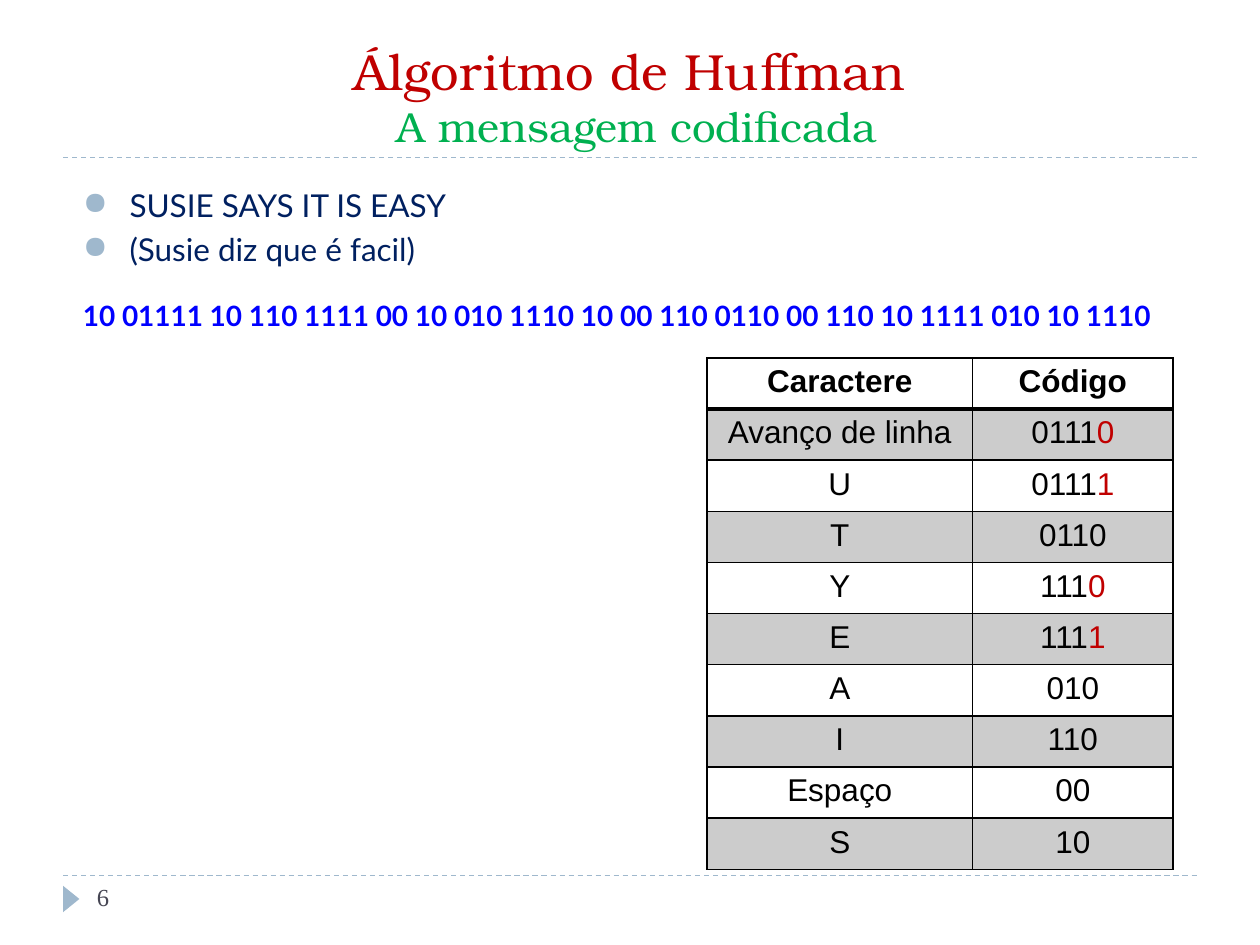
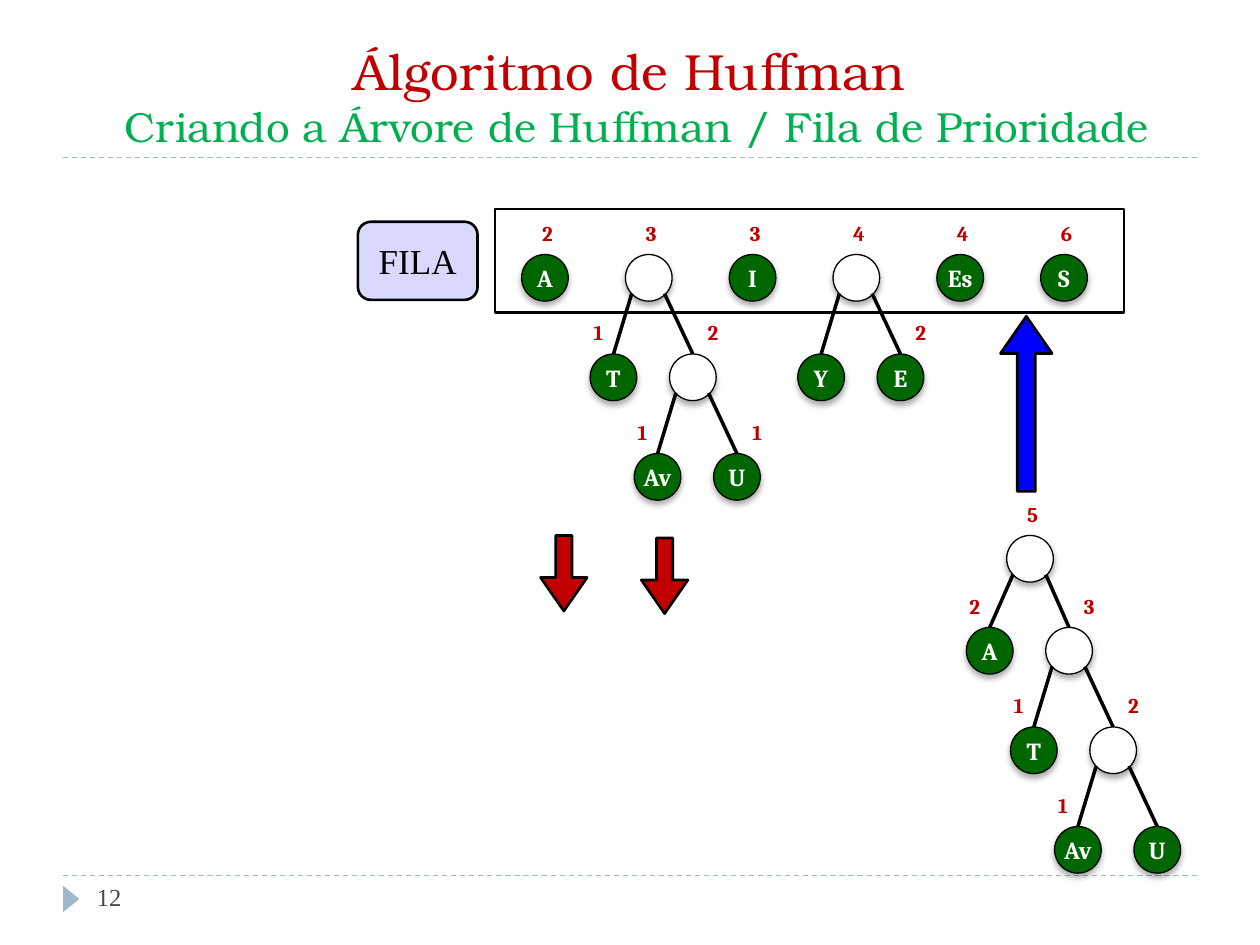
from dataclasses import dataclass
from typing import Optional

import pptx
import pptx.dml.color
import pptx.enum.dml
import pptx.enum.shapes
import pptx.enum.text
import pptx.oxml
import pptx.oxml.ns
import pptx.util
from lxml import etree

Inches = pptx.util.Inches
Pt = pptx.util.Pt
qn = pptx.oxml.ns.qn
SHAPE = pptx.enum.shapes.MSO_SHAPE
ALIGN = pptx.enum.text.PP_ALIGN
ANCHOR = pptx.enum.text.MSO_ANCHOR


@dataclass(frozen=True)
class Theme:
    black: str = "000000"
    white: str = "FFFFFF"
    red: str = "C00000"
    green: str = "00B050"
    leaf: str = "006600"
    blue: str = "0000FF"
    navy: str = "002060"
    accent: str = "9FB8CD"
    number: str = "464653"
    title_font: str = "TeX Gyre Bonum"
    body_font: str = "Lato"
    table_font: str = "Arial"
    tree_font: str = "Cambria"
    serif_font: str = "Times New Roman"
    title_pt: int = 29
    subtitle_pt: int = 24
    queue_pt: int = 20
    body_pt: int = 18
    bits_pt: int = 16
    small_pt: int = 14
    weight_pt: int = 12


T = Theme()


@dataclass(frozen=True)
class Spread:
    """Offsets of the left and right child from their parent, in inches."""
    left: float = -0.28
    right: float = 0.35
    down: float = 0.79


@dataclass(frozen=True)
class Node:
    weight: str = ""
    label: str = ""
    left: Optional["Node"] = None
    right: Optional["Node"] = None
    spread: Spread = Spread()


# ---- Helpers ----

def rgb(color: str):
    return pptx.dml.color.RGBColor.from_string(color)


def sub(parent, tag: str, **attrs):
    return etree.SubElement(parent, qn(tag), attrs)


def add_text(p, text: str, *, size: float, color: str, font: str, bold: bool = False):
    r = p.add_run()
    r.text = text
    r.font.size, r.font.name, r.font.bold = Pt(size), font, bold
    r.font.color.rgb = rgb(color)
    return r


def frame(sp, anchor=ANCHOR.TOP, align=ALIGN.LEFT, inset: bool = True):
    tf = sp.text_frame
    tf.word_wrap = True
    tf.vertical_anchor = anchor
    tf.margin_left = tf.margin_right = Inches(0.1 if inset else 0)
    tf.margin_top = tf.margin_bottom = Inches(0.05 if inset else 0)
    tf.paragraphs[0].alignment = align
    return tf


def add_box(s, x: float, y: float, w: float, h: float, **layout):
    return frame(s.shapes.add_textbox(Inches(x), Inches(y), Inches(w), Inches(h)), **layout)


def set_fill(fill, color: Optional[str], alpha: int = 100) -> None:
    if color is None:
        fill.background()
        return
    fill.solid()
    fill.fore_color.rgb = rgb(color)
    if alpha < 100:
        clr = fill._xPr.find(qn("a:solidFill"))[0]
        sub(clr, "a:alpha", val=str(alpha * 1000))


def add_shape(s, kind, x: float, y: float, w: float, h: float, *, fill: Optional[str],
              alpha: int = 100, line: float = 0):
    sp = s.shapes.add_shape(kind, Inches(x), Inches(y), Inches(w), Inches(h))
    sp.shadow.inherit = False
    set_fill(sp.fill, fill, alpha)
    if line:
        sp.line.color.rgb = rgb(T.black)
        sp.line.width = Pt(line)
    else:
        sp.line.fill.background()
    return sp


def add_line(s, x1: float, y1: float, x2: float, y2: float, *, color: str, width: float,
             dashed: bool = False) -> None:
    c = s.shapes.add_connector(pptx.enum.shapes.MSO_CONNECTOR.STRAIGHT,
                               Inches(x1), Inches(y1), Inches(x2), Inches(y2))
    c.line.color.rgb = rgb(color)
    c.line.width = Pt(width)
    if dashed:
        c.line.dash_style = pptx.enum.dml.MSO_LINE.DASH
    sub(c._element.spPr, "a:effectLst")


def add_shadow(effects, blur: float, dist: float, angle: int, alpha: int) -> None:
    shadow = sub(effects, "a:outerShdw", blurRad=str(Pt(blur)), dist=str(Pt(dist)),
                 dir=str(angle * 60000), algn="ctr", rotWithShape="0")
    sub(sub(shadow, "a:srgbClr", val=T.black), "a:alpha", val=str(alpha * 1000))


# ---- Shared slide frame ----

def new_slide(prs, subtitle: str, number: str):
    s = prs.slides.add_slide(prs.slide_layouts[6])
    for y in (6.95, 1.25):
        add_line(s, 0.5, y, 9.5, y, color=T.accent, width=0.75, dashed=True)
    add_shape(s, SHAPE.ISOSCELES_TRIANGLE, 0.46, 7.07, 0.21, 0.13, fill=T.accent).rotation = 90
    p = add_box(s, 0.5, 0.25, 9, 1, anchor=ANCHOR.BOTTOM, align=ALIGN.CENTER).paragraphs[0]
    add_text(p, "Álgoritmo de Huffman", size=T.title_pt, color=T.red, font=T.title_font)
    p.add_line_break()
    add_text(p, " " + subtitle, size=T.subtitle_pt, color=T.green, font=T.title_font)
    tf = add_box(s, 0.67, 6.95, 2.17, 0.4)
    add_text(tf.paragraphs[0], number, size=T.small_pt, color=T.number, font=T.serif_font)
    return s


# ---- Code table ----

def set_borders(cell, top: float, bottom: float) -> None:
    tcPr = cell._tc.get_or_add_tcPr()
    for i, (side, width) in enumerate(zip("LRTB", (1, 1, top, bottom))):
        ln = etree.Element(qn(f"a:ln{side}"), w=str(Pt(width)))
        sub(sub(ln, "a:solidFill"), "a:srgbClr", val=T.black)
        tcPr.insert(i, ln)


def add_code_table(s, rows) -> None:
    table = s.shapes.add_table(len(rows), 2, Inches(5.61), Inches(2.84),
                               Inches(3.7), Inches(4.06)).table
    table.first_row = table.horz_banding = False
    for col, width in zip(table.columns, (2.11, 1.59)):
        col.width = Inches(width)
    for i, row in enumerate(rows):
        for j, text in enumerate(row):
            cell = table.cell(i, j)
            set_fill(cell.fill, T.black if i % 2 else None, alpha=20)
            set_borders(cell, top=2 if i == 1 else 1, bottom=2 if i == 0 else 1)
            p = cell.text_frame.paragraphs[0]
            p.alignment = ALIGN.CENTER
            plain, _, marked = text.partition("|")
            for part, color in ((plain, T.black), (marked, T.red)):
                if part:
                    add_text(p, part, size=T.body_pt, color=color, font=T.table_font,
                             bold=i == 0)


# ---- Huffman trees ----

NODE = 0.37


def add_weight(s, x: float, y: float, weight: str) -> None:
    tf = add_box(s, x, y, 0.41, 0.3, anchor=ANCHOR.MIDDLE, align=ALIGN.CENTER)
    r = add_text(tf.paragraphs[0], weight, size=T.weight_pt, color=T.red,
                 font=T.tree_font, bold=True)
    effects = etree.Element(qn("a:effectLst"))
    add_shadow(effects, blur=3, dist=3, angle=45, alpha=43)
    r._r.get_or_add_rPr().find(qn("a:solidFill")).addnext(effects)


def add_tree(s, node: Node, x: float, y: float, weight_shift: float = 0) -> None:
    """Draw a node with its top left corner at x, y, then its children."""
    sp = add_shape(s, SHAPE.OVAL, x, y, NODE, NODE, line=0.75,
                   fill=T.leaf if node.label else T.white)
    add_shadow(sp._element.spPr.find(qn("a:effectLst")), blur=3.5, dist=2.2, angle=90, alpha=32)
    if node.label:
        tf = frame(sp, ANCHOR.MIDDLE, ALIGN.CENTER, inset=False)
        add_text(tf.paragraphs[0], node.label, size=T.small_pt, color=T.white,
                 font=T.tree_font, bold=True)
    if node.weight:
        add_weight(s, x + weight_shift, y - 0.32, node.weight)
    for child, dx, edge, shift in ((node.left, node.spread.left, 0.05, -0.14),
                                   (node.right, node.spread.right, 0.31, 0.14)):
        if child:
            cx, cy = x + dx, y + node.spread.down
            add_line(s, cx + NODE / 2, cy, x + edge, y + 0.31, color=T.black, width=2)
            add_tree(s, child, cx, cy, shift)


def add_arrow(s, x: float, y: float, w: float, h: float, color: str):
    sp = add_shape(s, SHAPE.DOWN_ARROW, x, y, w, h, fill=color, line=1.5)
    sp.adjustments[0], sp.adjustments[1] = 0.35, 0.72
    return sp


# ---- Slides ----

def message_slide(prs) -> None:
    s = new_slide(prs, "A mensagem codificada", "6")
    tf = add_box(s, 0.56, 1.43, 8.94, 1.25)
    bits = "10 01111 10 110 1111 00 10 010 1110 10 00 110 0110 00 110 10 1111 010 10 1110"
    lines = (("SUSIE SAYS IT IS EASY", 0, True), ("(Susie diz que é facil)", 3.6, True),
             (bits, 17, False))
    for i, (text, before, bullet) in enumerate(lines):
        p = tf.add_paragraph() if i else tf.paragraphs[0]
        p.alignment = ALIGN.JUSTIFY
        p.space_before = Pt(before)
        pPr = p._p.get_or_add_pPr()
        pPr.set("marL", str(Inches(0.37)))
        pPr.set("indent", str(-Inches(0.37)))
        if bullet:
            sub(sub(pPr, "a:buClr"), "a:srgbClr", val=T.accent)
            sub(pPr, "a:buChar", char="●")
        add_text(p, text, size=T.body_pt if bullet else T.bits_pt, font=T.body_font,
                 color=T.navy if bullet else T.blue, bold=not bullet)
    # A bar precedes the digit shown in red
    add_code_table(s, (
        ("Caractere", "Código"), ("Avanço de linha", "0111|0"), ("U", "0111|1"),
        ("T", "0110"), ("Y", "111|0"), ("E", "111|1"), ("A", "010"), ("I", "110"),
        ("Espaço", "00"), ("S", "10")))


def queue_slide(prs) -> None:
    s = new_slide(prs, "Criando a Árvore de Huffman / Fila de Prioridade", "12")
    add_shape(s, SHAPE.RECTANGLE, 3.93, 1.66, 4.99, 0.82, fill=None, line=1.5)
    sp = add_shape(s, SHAPE.FLOWCHART_ALTERNATE_PROCESS, 2.84, 1.76, 0.95, 0.62,
                   fill=T.blue, alpha=15, line=1.5)
    add_text(frame(sp, ANCHOR.MIDDLE, ALIGN.CENTER).paragraphs[0], "FILA",
             size=T.queue_pt, color=T.black, font=T.serif_font)

    # Queue in order of priority
    def tree_of_three(u_weight: str) -> Node:
        pair = Node("2", left=Node("1", "Av"), right=Node(u_weight, "U"))
        return Node("3", left=Node("1", "T"), right=pair)

    queue = (Node("2", "A"), tree_of_three("1"), Node("3", "I"),
             Node("4", left=Node("", "Y"), right=Node("2", "E")),
             Node("4", "Es"), Node("6", "S"))
    for i, node in enumerate(queue):
        add_tree(s, node, 4.14 + i * 4.12 / 5, 2.02)

    # The two removed entries and the merged tree that goes back in
    add_arrow(s, 4.29, 4.25, 0.37, 0.6, T.red)
    add_arrow(s, 5.09, 4.27, 0.37, 0.6, T.red)
    merged = Node("5", left=Node("2", "A"), right=tree_of_three(""),
                  spread=Spread(-0.32, 0.31, 0.73))
    add_tree(s, merged, 7.99, 4.25)
    add_arrow(s, 7.94, 2.51, 0.41, 1.39, T.blue).rotation = 180


prs = pptx.Presentation()
prs.slide_width, prs.slide_height = Inches(10), Inches(7.5)
message_slide(prs)
queue_slide(prs)
prs.save("out.pptx")
